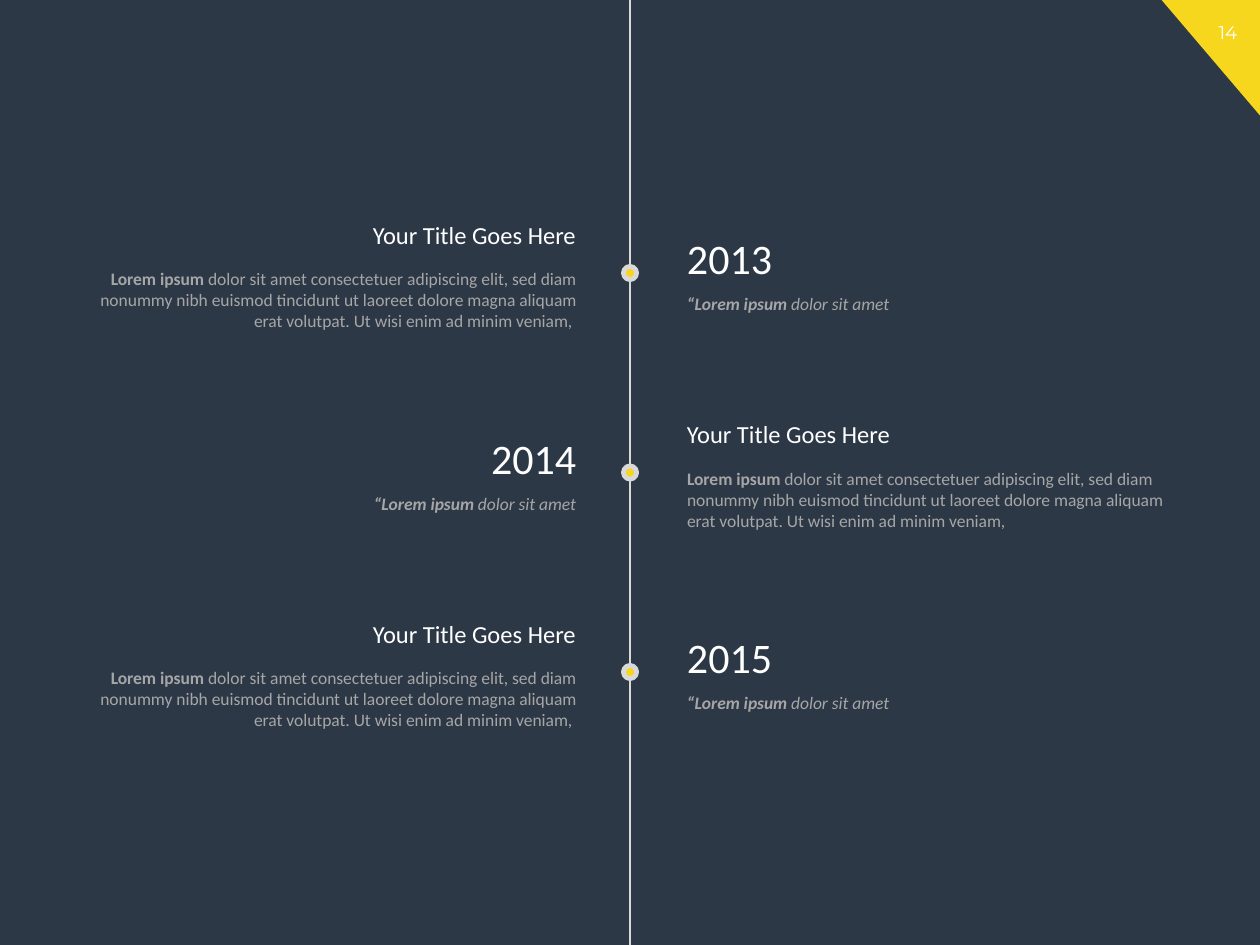
from dataclasses import dataclass

from lxml.etree import SubElement
from pptx import Presentation
from pptx.dml.color import RGBColor
from pptx.enum.shapes import MSO_CONNECTOR, MSO_SHAPE
from pptx.enum.text import MSO_AUTO_SIZE, PP_ALIGN
from pptx.oxml.ns import qn
from pptx.util import Pt


@dataclass(frozen=True)
class Theme:
    back: RGBColor = RGBColor.from_string("2D3847")
    accent: RGBColor = RGBColor.from_string("F6D71E")
    line: RGBColor = RGBColor.from_string("D9D9D9")
    white: RGBColor = RGBColor.from_string("FFFFFF")
    grey: RGBColor = RGBColor.from_string("A6A6A6")
    font: str = "Calibri"
    page_font: str = "Montserrat"
    page: float = 10.5
    year: float = 24
    title: float = 14
    body: float = 10


theme = Theme()
WIDTH, HEIGHT = 720, 540
MID = WIDTH / 2
FIRST, STEP = 156, 114
LEFT_EDGE, RIGHT_EDGE = 334.4, 387.4
DOT = 7.5

deck = Presentation()
deck.slide_width, deck.slide_height = Pt(WIDTH), Pt(HEIGHT)
slide = deck.slides.add_slide(deck.slide_layouts[6])
slide.background.fill.solid()
slide.background.fill.fore_color.rgb = theme.back
shapes = slide.shapes


def add_text(place, parts, size, color, align, font=theme.font, inset=(5.2, 2.6)):
    """Add a text box; the first of several parts is bold. Return its runs."""
    box = shapes.add_textbox(*map(Pt, place))
    frame = box.text_frame
    frame.word_wrap = True
    frame.auto_size = MSO_AUTO_SIZE.SHAPE_TO_FIT_TEXT
    frame.margin_left = frame.margin_right = Pt(inset[0])
    frame.margin_top = frame.margin_bottom = Pt(inset[1])
    para = frame.paragraphs[0]
    para.alignment = align
    for i, part in enumerate(parts):
        run = para.add_run()
        run.text = part
        run.font.name = font
        run.font.size = Pt(size)
        run.font.color.rgb = color
        run.font.bold = len(parts) > 1 and i == 0
    return para.runs


def add_solid(kind, place, color):
    shape = shapes.add_shape(kind, *map(Pt, place))
    shape.shadow.inherit = False
    shape.fill.solid()
    shape.fill.fore_color.rgb = color
    return shape


# Page corner
corner = add_solid(MSO_SHAPE.RIGHT_TRIANGLE, (WIDTH - 56.2, 0, 56.2, 66), theme.accent)
corner.rotation = 180
corner.line.fill.background()
add_text((683.3, 8.6, 36.7, 20.2), ["14"], theme.page, theme.white,
         PP_ALIGN.CENTER, theme.page_font, (7.2, 3.6))

# Time line
axis = shapes.add_connector(MSO_CONNECTOR.STRAIGHT, Pt(MID), Pt(0), Pt(MID), Pt(HEIGHT))
axis.line.color.rgb = theme.line
axis.line.width = Pt(1)
SubElement(axis._element.spPr, qn("a:effectLst"))

lorem = ("dolor sit amet consectetuer adipiscing elit, sed diam nonummy nibh "
         "euismod tincidunt ut laoreet dolore magna aliquam erat volutpat. "
         "Ut wisi enim ad minim veniam,")

# Story and year swap sides from row to row
for row, year in enumerate(("2013", "2014", "2015")):
    y = FIRST + row * STEP
    dot = add_solid(MSO_SHAPE.OVAL, (MID - DOT / 2, y - DOT / 2, DOT, DOT), theme.accent)
    dot.line.color.rgb = theme.line
    dot.line.width = Pt(2.75)

    story_left = row % 2 == 0
    body = lorem + " " if story_left else lorem
    for parts, size, color, on_left, dy, wide, high in (
        (["Lorem ipsum ", body], theme.body, theme.grey, story_left, -5.4, 289.4, 41.8),
        (["Your Title Goes Here"], theme.title, theme.white, story_left, -33, 227.5, 22.3),
        ([year], theme.year, theme.white, not story_left, -25.5, 88.6, 34.5),
        (["“Lorem ipsum ", "dolor sit amet"], theme.body, theme.grey,
         not story_left, 9, 177.8, 17.4),
    ):
        x = LEFT_EDGE - wide if on_left else RIGHT_EDGE
        align = PP_ALIGN.RIGHT if on_left else PP_ALIGN.LEFT
        runs = add_text((x, y + dy, wide, high), parts, size, color, align)
        for run in runs:
            run.font.italic = parts[0].startswith("“")

deck.save("out.pptx")
